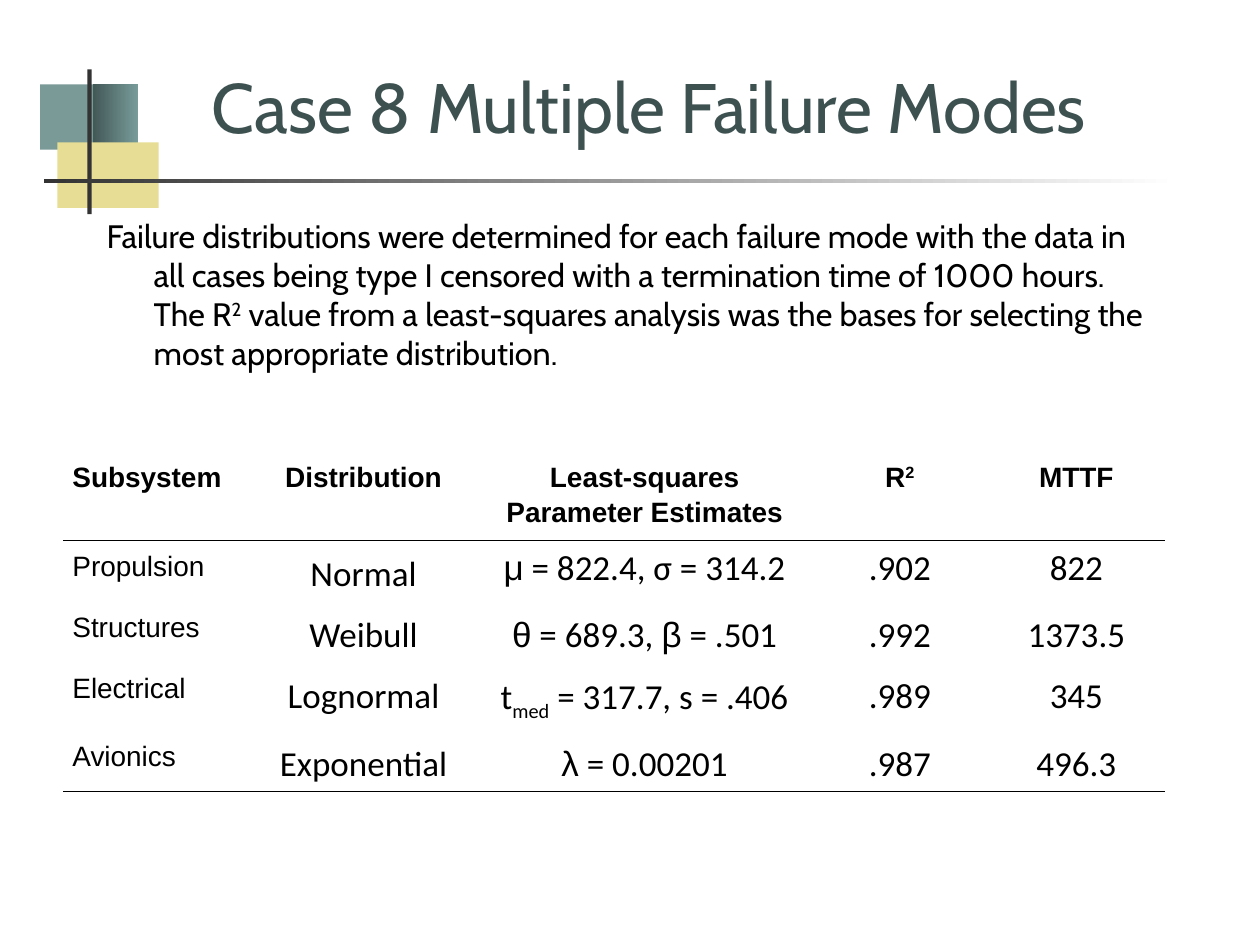
from lxml import etree
from pptx import Presentation
from pptx.dml.color import RGBColor
from pptx.enum.shapes import MSO_SHAPE
from pptx.enum.text import MSO_ANCHOR, PP_ALIGN
from pptx.oxml.ns import qn
from pptx.util import Cm, Pt

RECTANGLE = MSO_SHAPE.RECTANGLE
LEFT, CENTER = PP_ALIGN.LEFT, PP_ALIGN.CENTER
TOP, BOTTOM = MSO_ANCHOR.TOP, MSO_ANCHOR.BOTTOM
TITLE_ONLY = 5
SUPERSCRIPT, SUBSCRIPT = 30000, -25000

COLORS = {
    "title": "3D5150", "text": "000000", "teal": "7A9A98",
    "teal_dark": "435958", "teal_light": "789C9A",
    "sand": "E7DD95", "bar": "333333", "white": "FFFFFF",
}

COLUMN_WIDTHS = (3.76, 4.6, 6.73, 3.56, 3.56)
ROW_HEIGHTS = (1.55, 0.97, 0.97, 1.12, 0.97)
# A cell is a list of runs: text, then optional baseline shift and font.
HEADER = [[("Subsystem",)], [("Distribution",)],
          [("Least-squares Parameter Estimates",)],
          [("R",), ("2", SUPERSCRIPT)], [("MTTF",)]]
ROWS = [
    [[("Propulsion",)], [("Normal",)],
     [("μ", 0, "Arial"), (" = 822.4, σ = 314.2",)], [(".902",)], [("822",)]],
    [[("Structures",)], [("Weibull",)],
     [("θ", 0, "Arial"), (" = 689.3, ",), ("β", 0, "Arial"), (" = .501",)],
     [(".992",)], [("1373.5",)]],
    [[("Electrical",)], [("Lognormal",)],
     [("t",), ("med", SUBSCRIPT), (" = 317.7, s = .406",)],
     [(".989",)], [("345",)]],
    [[("Avionics",)], [("Exponential",)],
     [("λ", 0, "Arial"), (" = 0.00201",)], [(".987",)], [("496.3",)]],
]


def rgb(name):
    return RGBColor.from_string(COLORS[name])


def write(paragraph, runs, font, size, color="text", bold=False, align=LEFT):
    paragraph.alignment = align
    paragraph.font.name = font
    paragraph.font.size = Pt(size)
    paragraph.font.bold = bold
    paragraph.font.color.rgb = rgb(color)
    for text, baseline, run_font in ((*run, 0, None)[:3] if len(run) == 1
                                     else (*run, None)[:3] for run in runs):
        run = paragraph.add_run()
        run.text = text
        if baseline:
            run.font._element.set("baseline", str(baseline))
        if run_font:
            run.font.name = run_font


def add_block(slide, left, top, width, height, *colors):
    """Rectangle in one colour, or in a left-to-right gradient of two."""
    shape = slide.shapes.add_shape(RECTANGLE, Cm(left), Cm(top), Cm(width), Cm(height))
    shape.shadow.inherit = False
    shape.line.fill.background()
    if len(colors) == 1:
        shape.fill.solid()
        shape.fill.fore_color.rgb = rgb(colors[0])
    else:
        shape.fill.gradient()
        shape.fill.gradient_angle = 0
        for stop, color in zip(shape.fill.gradient_stops, colors):
            stop.color.rgb = rgb(color)


def add_ornament(slide, left, top):
    add_block(slide, left, top + 0.3, 1.22, 1.32, "teal")
    add_block(slide, left + 1.07, top + 0.3, 0.91, 1.32, "teal_dark", "teal_light")
    add_block(slide, left + 0.35, top + 1.47, 2.04, 1.32, "sand")
    add_block(slide, left + 0.95, top, 0.09, 2.92, "bar")
    add_block(slide, left + 0.08, top + 2.2, 22.86, 0.1, "bar", "white")


def set_title(slide, left, top, width, height):
    title = slide.shapes.title
    title.left, title.top, title.width, title.height = map(Cm, (left, top, width, height))
    title.text_frame.vertical_anchor = BOTTOM
    write(title.text_frame.paragraphs[0], [("Case 8 Multiple Failure Modes",)],
          "Cabin", 40, "title")


def add_body(slide, left, top, width, height):
    box = slide.shapes.add_textbox(Cm(left), Cm(top), Cm(width), Cm(height))
    box.text_frame.word_wrap = True
    paragraph = box.text_frame.paragraphs[0]
    properties = paragraph._p.get_or_add_pPr()
    properties.set("marL", str(Cm(0.95)))
    properties.set("indent", str(Cm(-0.95)))
    write(paragraph, [
        ("Failure distributions were determined for each failure mode with the data in "
         "all cases being type I censored with a termination time of 1000 hours. The R",),
        ("2", SUPERSCRIPT),
        (" value from a least-squares analysis was the bases for selecting the "
         "most appropriate distribution.",)], "Cabin", 18.5)


def set_borders(cell, ruled_sides):
    """Draw thin rules on the given sides and clear the others."""
    properties = cell._tc.get_or_add_tcPr()
    for index, side in enumerate(("lnL", "lnR", "lnT", "lnB")):
        line = etree.Element(qn("a:" + side), w=str(Pt(0.45)))
        if side in ruled_sides:
            fill = etree.SubElement(line, qn("a:solidFill"))
            etree.SubElement(fill, qn("a:srgbClr"), val=COLORS["text"])
        else:
            etree.SubElement(line, qn("a:noFill"))
        properties.insert(index, line)


def add_results_table(slide, left, top):
    data = [HEADER, *ROWS]
    table = slide.shapes.add_table(
        len(data), len(HEADER), Cm(left), Cm(top),
        Cm(sum(COLUMN_WIDTHS)), Cm(sum(ROW_HEIGHTS))).table
    table.first_row = table.horz_banding = False
    for column, width in zip(table.columns, COLUMN_WIDTHS):
        column.width = Cm(width)
    for row_index, (row, height) in enumerate(zip(data, ROW_HEIGHTS)):
        table.rows[row_index].height = Cm(height)
        sides = {0: ("lnB",), 1: ("lnT",), len(ROWS): ("lnB",)}.get(row_index, ())
        for column_index, runs in enumerate(row):
            cell = table.cell(row_index, column_index)
            cell.fill.background()
            cell.vertical_anchor = TOP
            cell.margin_left = cell.margin_right = Cm(0.19)
            set_borders(cell, sides)
            is_header, is_label = row_index == 0, column_index == 0
            paragraph = cell.text_frame.paragraphs[0]
            # The first row of values is set tighter than the rest.
            paragraph.line_spacing = 1.0 if row_index == 1 and column_index > 1 else 1.15
            font, size = ("Arial", 16) if is_header or is_label else ("Calibri", 20)
            write(paragraph, runs, font, size, bold=is_header,
                  align=LEFT if is_label else CENTER)


def main():
    presentation = Presentation()
    presentation.slide_width, presentation.slide_height = Cm(25.4), Cm(19.05)
    slide = presentation.slides.add_slide(presentation.slide_layouts[TITLE_ONLY])
    add_ornament(slide, 0.81, 1.4)
    set_title(slide, 4.01, 0.64, 19.74, 2.46)
    add_body(slide, 1.9, 4.24, 21.6, 3.81)
    add_results_table(slide, 1.27, 9.09)
    presentation.save("out.pptx")


if __name__ == "__main__":
    main()
